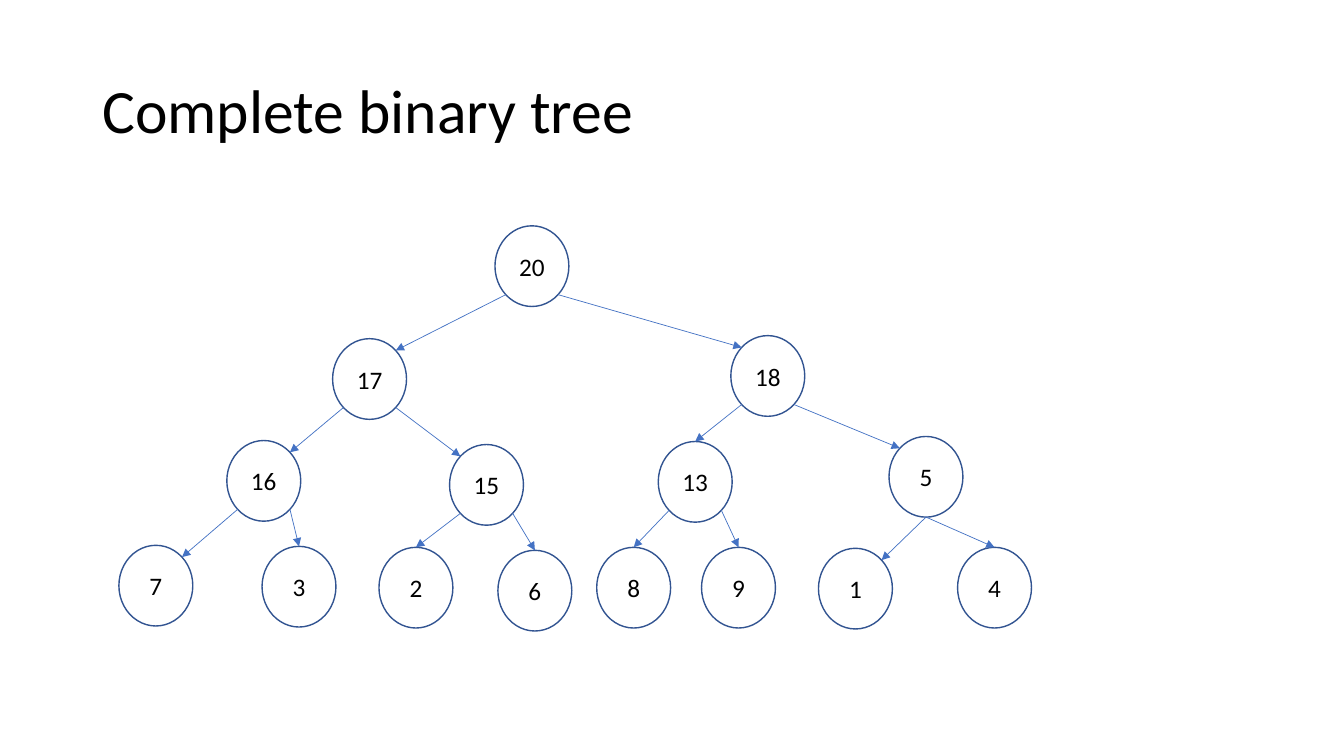
from math import sqrt

from lxml import etree
from pptx import Presentation
from pptx import util as u
from pptx.dml.color import RGBColor
from pptx.enum import shapes, text
from pptx.oxml.ns import qn

BLACK = RGBColor(0x00, 0x00, 0x00)
OUTLINE = RGBColor(0x32, 0x54, 0x91)
ARROW = RGBColor(0x44, 0x72, 0xC4)

# Level order: label, left column, top row, whether its arrow ends at the top
NODES = [
    ("20", 36.83, 29.87, False),
    ("17", 24.75, 44.8, False), ("18", 54.38, 44.4, False),
    ("16", 16.88, 58.27, False), ("15", 33.45, 58.8, False),
    ("13", 48.98, 58.4, True), ("5", 66.15, 57.73, False),
    ("7", 8.85, 72.13, False), ("3", 19.5, 72.27, True),
    ("2", 28.2, 72.4, True), ("6", 37.05, 72.8, True),
    ("8", 44.4, 72.4, True), ("9", 52.2, 72.4, True),
    ("1", 60.9, 72.53, False), ("4", 71.25, 72.4, True),
]
NODE_SIZE = (5.5, 10.67)
BOTTOM_START = "5"


def rim_point(node, across, down):
    """Point on an ellipse in the given direction; each part is -1, 0 or 1."""
    reach = sqrt(across ** 2 + down ** 2)
    return (int(node.left + node.width * (1 + across / reach) / 2),
            int(node.top + node.height * (1 + down / reach) / 2))


class TreeSlide:
    """Style and page, measured on a grid of 100 columns by 100 rows."""

    font = "Calibri"

    def __init__(self, deck):
        self.column = deck.slide_width / 100
        self.row = deck.slide_height / 100
        self.page = deck.slides.add_slide(deck.slide_layouts[5])

    def place(self, left, top, width, height):
        return (int(left * self.column), int(top * self.row),
                int(width * self.column), int(height * self.row))

    def set_text(self, box, words, size, align, spacing=1.0):
        frame = box.text_frame
        frame.word_wrap = True
        frame.auto_size = text.MSO_AUTO_SIZE.NONE
        frame.vertical_anchor = text.MSO_ANCHOR.MIDDLE
        para = frame.paragraphs[0]
        para.alignment = align
        para.line_spacing = spacing
        span = para.add_run()
        span.text = words
        span.font.name = self.font
        span.font.size = u.Pt(size)
        span.font.color.rgb = BLACK

    def title(self, words, *area):
        box = self.page.shapes.title
        box.left, box.top, box.width, box.height = self.place(*area)
        self.set_text(box, words, size=44, align=text.PP_ALIGN.LEFT, spacing=0.9)

    def node(self, label, left, top):
        oval = self.page.shapes.add_shape(
            shapes.MSO_SHAPE.OVAL, *self.place(left, top, *NODE_SIZE))
        oval.shadow.inherit = False
        oval.fill.background()
        oval.line.color.rgb = OUTLINE
        oval.line.width = u.Pt(1)
        self.set_text(oval, label, size=18, align=text.PP_ALIGN.CENTER)
        return oval

    def arrow(self, start, end):
        line = self.page.shapes.add_connector(
            shapes.MSO_CONNECTOR.STRAIGHT, *start, *end)
        line.line.color.rgb = ARROW
        line.line.width = u.Pt(0.5)
        properties = line._element.spPr
        etree.SubElement(properties.find(qn("a:ln")), qn("a:tailEnd"), type="triangle")
        etree.SubElement(properties, qn("a:effectLst"))
        return line

    def branch(self, parent, child, side, ends_at_top):
        """Join parent to child; side is -1 for a left child, 1 for a right one."""
        start_side = 0 if parent.text_frame.text == BOTTOM_START else side
        end_side = 0 if ends_at_top else -side
        line = self.arrow(rim_point(parent, start_side, 1),
                          rim_point(child, end_side, -1))
        if ends_at_top:
            line.end_connect(child, 0)


def main():
    deck = Presentation()
    deck.slide_width, deck.slide_height = u.Inches(13.33), u.Inches(7.5)
    slide = TreeSlide(deck)
    slide.title("Complete binary tree", 6.88, 5.33, 86.25, 19.33)
    ovals = [slide.node(label, left, top) for label, left, top, _ in NODES]
    for index in range(1, len(NODES)):
        side = -1 if index % 2 else 1
        slide.branch(ovals[(index - 1) // 2], ovals[index], side, NODES[index][3])
    deck.save("out.pptx")


if __name__ == "__main__":
    main()
